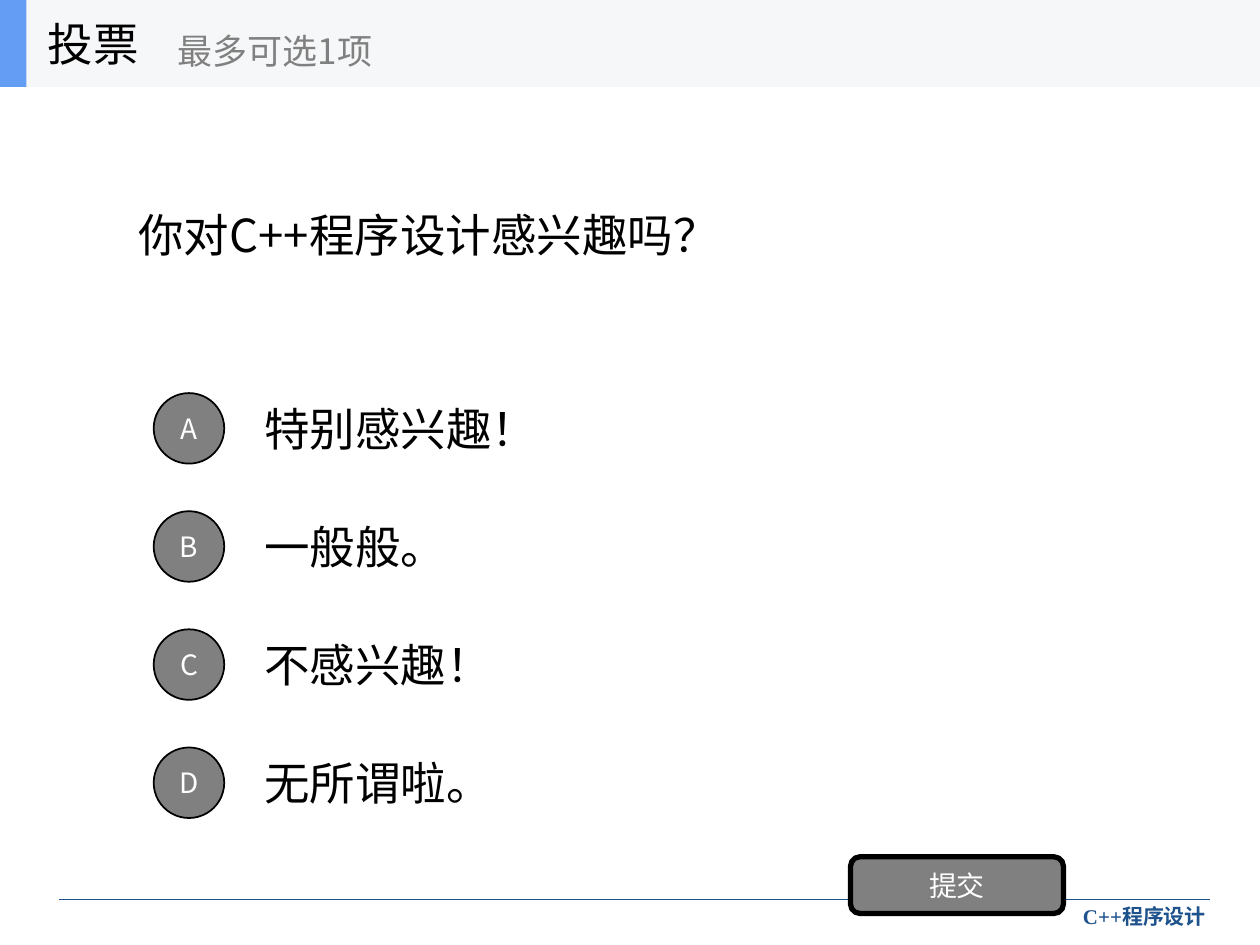
from typing import NamedTuple

from lxml.etree import SubElement
from pptx import Presentation
from pptx.dml.color import RGBColor
from pptx.enum.shapes import MSO_CONNECTOR, MSO_SHAPE as Shape
from pptx.enum.text import MSO_ANCHOR as Anchor, PP_ALIGN as Align
from pptx.oxml.ns import qn
from pptx.util import Inches, Pt

COLORS = {
    "black": "000000",
    "white": "FFFFFF",
    "gray": "808080",
    "navy": "1D528D",
    "header": "F6F7F8",
    "accent": "639EF4",
}
SANS = "Noto Sans CJK SC"
FIRST_OPTION_MIDDLE = 3.4
OPTION_PITCH = 0.9375
BADGE_SIZE = 0.56
ANSWER_HEIGHT = 0.7


class Box(NamedTuple):
    left: float
    top: float
    width: float
    height: float

    def lengths(self) -> list:
        return [Inches(value) for value in self]


class Option(NamedTuple):
    letter: str
    answer: str


OPTIONS = [
    Option("A", "特别感兴趣！"),
    Option("B", "一般般。"),
    Option("C", "不感兴趣！"),
    Option("D", "无所谓啦。"),
]


def rgb(color: str) -> RGBColor:
    return RGBColor.from_string(COLORS[color])


def write(shape, text: str, *, size: float = 26, color: str = "black", font: str = SANS,
          bold: bool = False, align=Align.LEFT, anchor=Anchor.MIDDLE) -> None:
    frame = shape.text_frame
    frame.word_wrap = True
    frame.vertical_anchor = anchor
    paragraph = frame.paragraphs[0]
    paragraph.alignment = align
    run = paragraph.add_run()
    run.text = text
    run.font.size = Pt(size)
    run.font.bold = bold
    run.font.name = font
    run.font.color.rgb = rgb(color)
    # Chinese characters take their typeface from a:ea.
    SubElement(run.font._element, qn("a:ea"), typeface=SANS)


def add_text(shapes, box: Box, text: str, **text_format) -> None:
    write(shapes.add_textbox(*box.lengths()), text, **text_format)


def add_filled(shapes, kind, box: Box, fill: str, line_width: float = 0):
    """Add a flat shape, outlined in black when line_width is given."""
    shape = shapes.add_shape(kind, *box.lengths())
    shape.shadow.inherit = False
    shape.fill.solid()
    shape.fill.fore_color.rgb = rgb(fill)
    if line_width:
        shape.line.color.rgb = rgb("black")
        shape.line.width = Pt(line_width)
    else:
        shape.line.fill.background()
    return shape


def add_button(shapes, kind, box: Box, label: str, line_width: float) -> None:
    button = add_filled(shapes, kind, box, "gray", line_width)
    write(button, label, size=16, color="white", align=Align.CENTER)


def add_footer(shapes) -> None:
    rule = shapes.add_connector(MSO_CONNECTOR.STRAIGHT, Inches(0.47), Inches(7.14),
                                Inches(9.6), Inches(7.14))
    rule.line.color.rgb = rgb("navy")
    rule.line.width = Pt(0.75)
    SubElement(rule._element.spPr, qn("a:effectLst"))
    add_text(shapes, Box(6.5, 7.12, 3.17, 0.33), "C++程序设计", size=12, color="navy",
             font="Times New Roman", bold=True, align=Align.RIGHT, anchor=Anchor.TOP)


def add_option(shapes, option: Option, middle: float) -> None:
    add_text(shapes, Box(2, middle - ANSWER_HEIGHT / 2, 7, ANSWER_HEIGHT), option.answer)
    badge = Box(1.22, middle - BADGE_SIZE / 2, BADGE_SIZE, BADGE_SIZE)
    add_button(shapes, Shape.OVAL, badge, option.letter, line_width=1)


def add_header(shapes) -> None:
    header = shapes.add_group_shape().shapes
    add_filled(header, Shape.RECTANGLE, Box(0, 0, 10, 0.69), "header")
    add_filled(header, Shape.RECTANGLE, Box(0, 0, 0.21, 0.69), "accent")
    add_text(header, Box(0.28, 0, 2.08, 0.69), "投票")
    add_text(header, Box(1.31, 0.12, 2.5, 0.56), "最多可选1项", size=20, color="gray")


def main() -> None:
    deck = Presentation()
    deck.slide_width, deck.slide_height = Inches(10), Inches(7.5)
    shapes = deck.slides.add_slide(deck.slide_layouts[6]).shapes

    add_footer(shapes)
    add_text(shapes, Box(1, 0.69, 8, 2.34), "你对C++程序设计感兴趣吗？")
    for index, option in enumerate(OPTIONS):
        add_option(shapes, option, FIRST_OPTION_MIDDLE + index * OPTION_PITCH)
    add_button(shapes, Shape.ROUNDED_RECTANGLE, Box(6.75, 6.8, 1.69, 0.45), "提交",
               line_width=3)
    add_header(shapes)

    deck.save("out.pptx")


if __name__ == "__main__":
    main()
